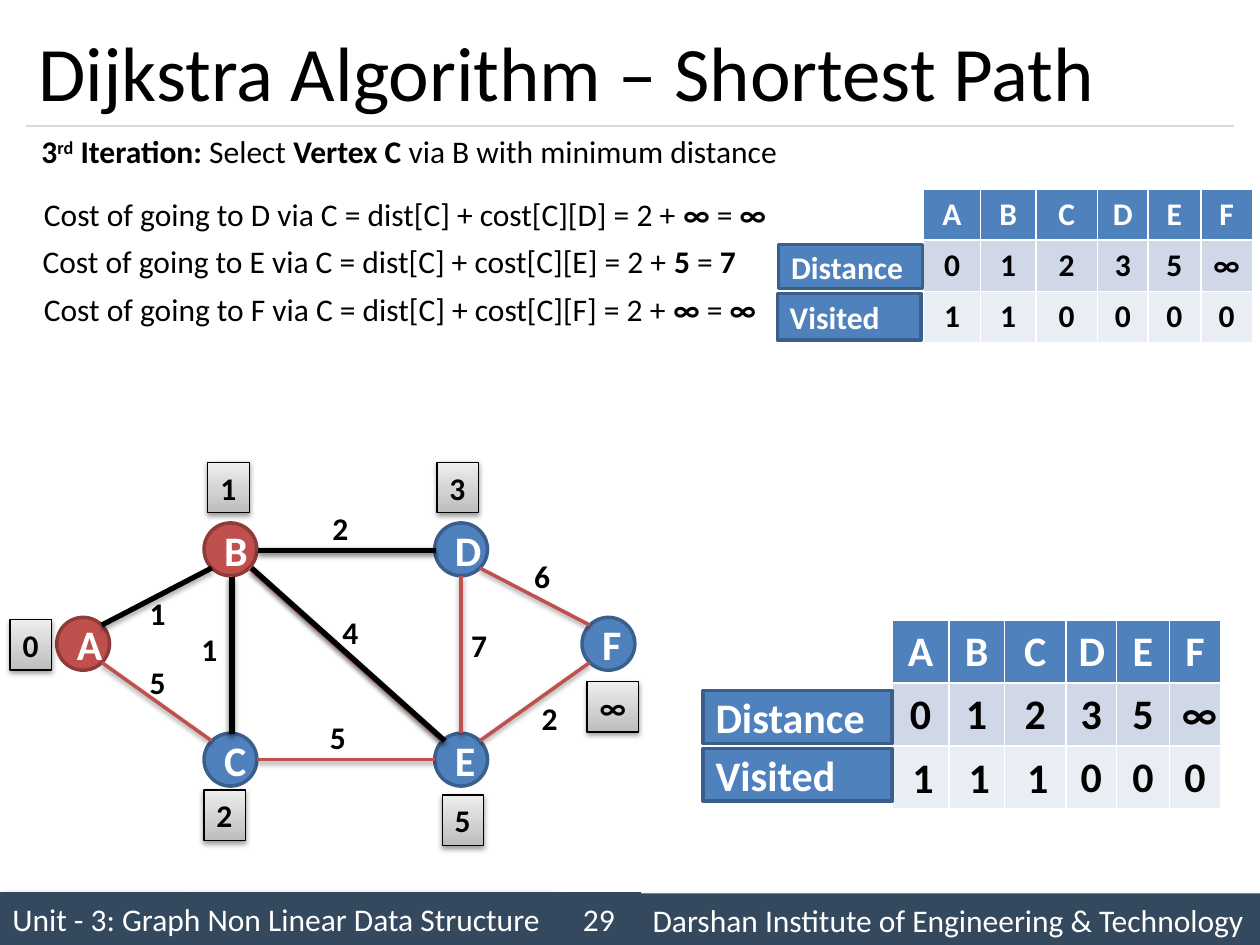
from dataclasses import dataclass
from itertools import accumulate
from typing import NamedTuple

from lxml.etree import SubElement
from pptx import Presentation
from pptx.dml.color import RGBColor
from pptx.enum.shapes import MSO_CONNECTOR, MSO_SHAPE
from pptx.enum.text import MSO_ANCHOR, MSO_AUTO_SIZE, PP_ALIGN
from pptx.oxml.ns import qn
from pptx.util import Pt


@dataclass(frozen=True)
class Theme:
    font: str = "Calibri"
    title: float = 44
    large: float = 24
    body: float = 18
    black: str = "000000"
    white: str = "FFFFFF"
    rule: str = "D9D9D9"
    footer: str = "34495E"
    blue: str = "4F81BD"
    blue_line: str = "3A5F8C"
    red: str = "C0504D"
    red_line: str = "8E3B39"
    row_dark: str = "D0D8E8"
    row_light: str = "E9EDF4"
    badge_dark: str = "BDBDBD"
    badge_light: str = "EEEEEE"


class Shadow(NamedTuple):
    alpha: int
    blur: float
    distance: float
    angle: int


class Span(NamedTuple):
    text: str
    bold: bool = False
    raised: bool = False


class Node(NamedTuple):
    left: float
    top: float
    visited: bool = False


class Edge(NamedTuple):
    start: str
    start_side: tuple
    end: str
    end_side: tuple
    chosen: bool = False
    shift: tuple = (0, 0)


class Label(NamedTuple):
    text: str
    left: float
    top: float
    width: float = 23.8


THEME = Theme()
FOOTER_SHADOW = Shadow(40, 4, 3, 45)
THIN_SHADOW = Shadow(38, 3.1, 1.6, 90)
THICK_SHADOW = Shadow(35, 3.1, 1.8, 90)
RIM = 0.71
RIGHT, LEFT, UP, DOWN = (1, 0), (-1, 0), (0, -1), (0, 1)
UP_RIGHT, UP_LEFT = (RIM, -RIM), (-RIM, -RIM)
DOWN_RIGHT, DOWN_LEFT = (RIM, RIM), (-RIM, RIM)
NODE_SIZE = 30.2
LINE_HEIGHT = 28.8
COLUMNS = (32.4, 31.7, 35.3, 28.8, 30.2, 29.5)

NODES = {
    "A": Node(32.4, 352.8, True), "B": Node(116.6, 298.8, True),
    "C": Node(116.6, 419), "D": Node(248.4, 298.8),
    "E": Node(248.4, 419), "F": Node(332.6, 352.8),
}
EDGES = (
    Edge("A", UP_RIGHT, "B", DOWN_LEFT, True),
    Edge("B", RIGHT, "D", LEFT),
    Edge("D", DOWN_RIGHT, "F", UP_LEFT),
    Edge("A", DOWN_RIGHT, "C", UP_LEFT),
    Edge("C", RIGHT, "E", LEFT),
    Edge("E", UP_RIGHT, "F", DOWN_LEFT),
    Edge("B", DOWN, "C", UP),
    Edge("D", DOWN, "E", UP),
    Edge("B", DOWN_RIGHT, "E", UP_LEFT),
    Edge("B", DOWN, "C", UP, True, (0.9, 0.7)),
    Edge("B", RIGHT, "D", LEFT, True, (0.7, 0.7)),
    Edge("B", DOWN_RIGHT, "E", UP_LEFT, True, (1.4, 0)),
)
WEIGHTS = (
    Label("1", 78.5, 336.2), Label("1", 108, 356.4), Label("5", 78.5, 375.1),
    Label("2", 182.9, 287.3), Label("4", 188.6, 347), Label("7", 262.1, 354.2),
    Label("6", 298.1, 314.6), Label("2", 302.4, 396), Label("5", 181.4, 406.8),
)
BADGES = (
    Label("0", 5.8, 354.2), Label("1", 118.8, 264.2), Label("3", 249.8, 264.2),
    Label("2", 116.6, 451.4), Label("5", 252.7, 454.3), Label("∞", 335.5, 389.5, 29.5),
)


def colour(value: str) -> RGBColor:
    return RGBColor.from_string(value)


def set_shadow(shape, shadow: Shadow | None) -> None:
    properties = shape._element.spPr
    effects = properties.find(qn("a:effectLst"))
    if effects is None:
        effects = SubElement(properties, qn("a:effectLst"))
    if shadow:
        outer = SubElement(effects, qn("a:outerShdw"), blurRad=str(Pt(shadow.blur)),
                           dist=str(Pt(shadow.distance)), dir=str(shadow.angle * 60000),
                           rotWithShape="0")
        ink = SubElement(outer, qn("a:srgbClr"), val=THEME.black)
        SubElement(ink, qn("a:alpha"), val=str(shadow.alpha * 1000))


def write(frame, spans, size: float, ink: str, align=PP_ALIGN.LEFT) -> None:
    para = frame.paragraphs[0]
    para.alignment = align
    para.font.name, para.font.size = THEME.font, Pt(size)
    para.font.color.rgb = colour(ink)
    for span in spans:
        run = para.add_run()
        run.text = span.text
        run.font.bold = span.bold
        if span.raised:
            run.font._element.set("baseline", "30000")


def add_text(page, spans, left: float, top: float, width: float, height: float = LINE_HEIGHT,
             size: float = THEME.body, align=PP_ALIGN.LEFT):
    box = page.shapes.add_textbox(Pt(left), Pt(top), Pt(width), Pt(height))
    box.text_frame.word_wrap = False
    write(box.text_frame, spans, size, THEME.black, align)
    return box


def add_block(page, kind, span: Span, left: float, top: float, width: float, height: float,
              fill: str, line: str | None = None, size: float = THEME.body,
              ink: str = THEME.white, align=PP_ALIGN.LEFT, shadow: Shadow | None = None):
    block = page.shapes.add_shape(kind, Pt(left), Pt(top), Pt(width), Pt(height))
    block.fill.solid()
    block.fill.fore_color.rgb = colour(fill)
    if line:
        block.line.color.rgb = colour(line)
        block.line.width = Pt(2)
    else:
        block.line.fill.background()
    set_shadow(block, shadow)
    block.text_frame.vertical_anchor = MSO_ANCHOR.MIDDLE
    write(block.text_frame, [span], size, ink, align)
    return block


def add_line(page, start, end, ink: str, width: float, shadow: Shadow | None = None) -> None:
    line = page.shapes.add_connector(MSO_CONNECTOR.STRAIGHT, *map(Pt, (*start, *end)))
    line.line.color.rgb = colour(ink)
    line.line.width = Pt(width)
    set_shadow(line, shadow)


def rim_point(name: str, side, shift) -> tuple[float, float]:
    node, radius = NODES[name], NODE_SIZE / 2
    return (node.left + radius * (1 + side[0]) + shift[0],
            node.top + radius * (1 + side[1]) + shift[1])


def add_edge(page, edge: Edge) -> None:
    ink, width, shadow = ((THEME.black, 3, THICK_SHADOW) if edge.chosen
                          else (THEME.red, 2, THIN_SHADOW))
    add_line(page, rim_point(edge.start, edge.start_side, edge.shift),
             rim_point(edge.end, edge.end_side, edge.shift), ink, width, shadow)


def add_badge(page, badge: Label) -> None:
    block = add_block(page, MSO_SHAPE.RECTANGLE, Span(badge.text, True), badge.left, badge.top,
                      badge.width, LINE_HEIGHT, THEME.badge_light, THEME.black,
                      ink=THEME.black, shadow=THIN_SHADOW)
    block.line.width = Pt(0.75)
    block.fill.gradient()
    block.fill.gradient_angle = 90
    for stop, shade in zip(block.fill.gradient_stops, (THEME.badge_dark, THEME.badge_light)):
        stop.color.rgb = colour(shade)
    block.text_frame.word_wrap = False


def add_grid(page, rows, left: float, top: float, row_height: float, size: float) -> None:
    table = page.shapes.add_table(len(rows), len(COLUMNS), Pt(left), Pt(top),
                                  Pt(sum(COLUMNS)), Pt(row_height * len(rows))).table
    for column, width in zip(table.columns, COLUMNS):
        column.width = Pt(width)
    fills = (THEME.blue, THEME.row_dark, THEME.row_light)
    for r, (values, fill) in enumerate(zip(rows, fills)):
        for c, value in enumerate(values):
            cell = table.cell(r, c)
            cell.fill.solid()
            cell.fill.fore_color.rgb = colour(fill)
            ink = THEME.black if r else THEME.white
            write(cell.text_frame, [Span(value, True)] if value.strip() else [], size, ink,
                  PP_ALIGN.CENTER)


def add_row_label(page, text: str, left: float, top: float, width: float, height: float,
                  size: float) -> None:
    add_block(page, MSO_SHAPE.RECTANGLE, Span(text, True), left, top, width, height,
              THEME.blue, THEME.blue_line, size)


def main() -> None:
    deck = Presentation()
    deck.slide_width, deck.slide_height = Pt(720), Pt(540)
    page = deck.slides.add_slide(deck.slide_layouts[6])

    # Footer and title
    for text, left, top, width, align, shadow in (
        ("Unit - 3: Graph Non Linear Data Structure", 0, 509.8, 318.2, PP_ALIGN.LEFT, FOOTER_SHADOW),
        ("Darshan Institute of Engineering & Technology", 365.8, 510.5, 354.2, PP_ALIGN.LEFT, FOOTER_SHADOW),
        ("29", 318.2, 509.8, 48.2, PP_ALIGN.CENTER, None),
    ):
        add_block(page, MSO_SHAPE.RECTANGLE, Span(text), left, top, width, 30.2, THEME.footer,
                  align=align, shadow=shadow)
    add_line(page, (15, 72), (705, 72), THEME.rule, 0.75)
    title = add_text(page, [Span("Dijkstra Algorithm – Shortest Path")], 15, 8.6, 690, 63.4, THEME.title)
    title.text_frame.word_wrap = True
    title.text_frame.auto_size = MSO_AUTO_SIZE.NONE
    title.text_frame.vertical_anchor = MSO_ANCHOR.MIDDLE

    # Iteration and costs
    add_text(page, [Span("3", True), Span("rd", True, True), Span(" Iteration: ", True),
                    Span("Select "), Span("Vertex C", True),
                    Span(" via B with minimum distance")], 16.6, 72, 446.4)
    for target, cost, total, left, top, width in (
        ("D", "∞", "∞", 18, 108, 432.7), ("E", "5", "7", 17.3, 134.6, 415.4), ("F", "∞", "∞", 18, 162, 427),
    ):
        formula = f"Cost of going to {target} via C = dist[C] + cost[C][{target}] = 2 + "
        add_text(page, [Span(formula), Span(cost, True), Span(" = "), Span(total, True)],
                 left, top, width)

    # Distances before the iteration
    add_grid(page, ("ABCDEF", "01235∞", "110000"), 527.8, 108, 29.28, THEME.body)
    add_row_label(page, "Distance", 445, 139.7, 82.1, 25.2, THEME.body)
    add_row_label(page, "Visited", 444.2, 167.8, 82.1, 26.6, THEME.body)

    # Graph
    for name, node in NODES.items():
        fill, line = ((THEME.red, THEME.red_line) if node.visited
                      else (THEME.blue, THEME.blue_line))
        add_block(page, MSO_SHAPE.OVAL, Span(name, True), node.left, node.top, NODE_SIZE,
                  NODE_SIZE, fill, line, THEME.large, align=PP_ALIGN.CENTER)
    for edge in EDGES:
        add_edge(page, edge)
    for weight in WEIGHTS:
        add_text(page, [Span(weight.text, True)], weight.left, weight.top, weight.width)
    for badge in BADGES:
        add_badge(page, badge)

    # Distances after the iteration, with the visited marks laid over the last row
    table_left = 509.8
    add_grid(page, ("ABCDEF", "01235∞", "   000"), table_left, 354.2, 36, THEME.large)
    add_row_label(page, "Distance", 401.8, 394.6, 108, 30.2, THEME.large)
    add_row_label(page, "Visited", 401.8, 427.7, 108, 30.2, THEME.large)
    mark_width = 26.6
    for width, right in zip(COLUMNS[:3], accumulate(COLUMNS)):
        left = table_left + right - (width + mark_width) / 2 + 1.5
        add_text(page, [Span("1", True)], left, 425.7, mark_width, 36, THEME.large, PP_ALIGN.CENTER)

    deck.save("out.pptx")


if __name__ == "__main__":
    main()
